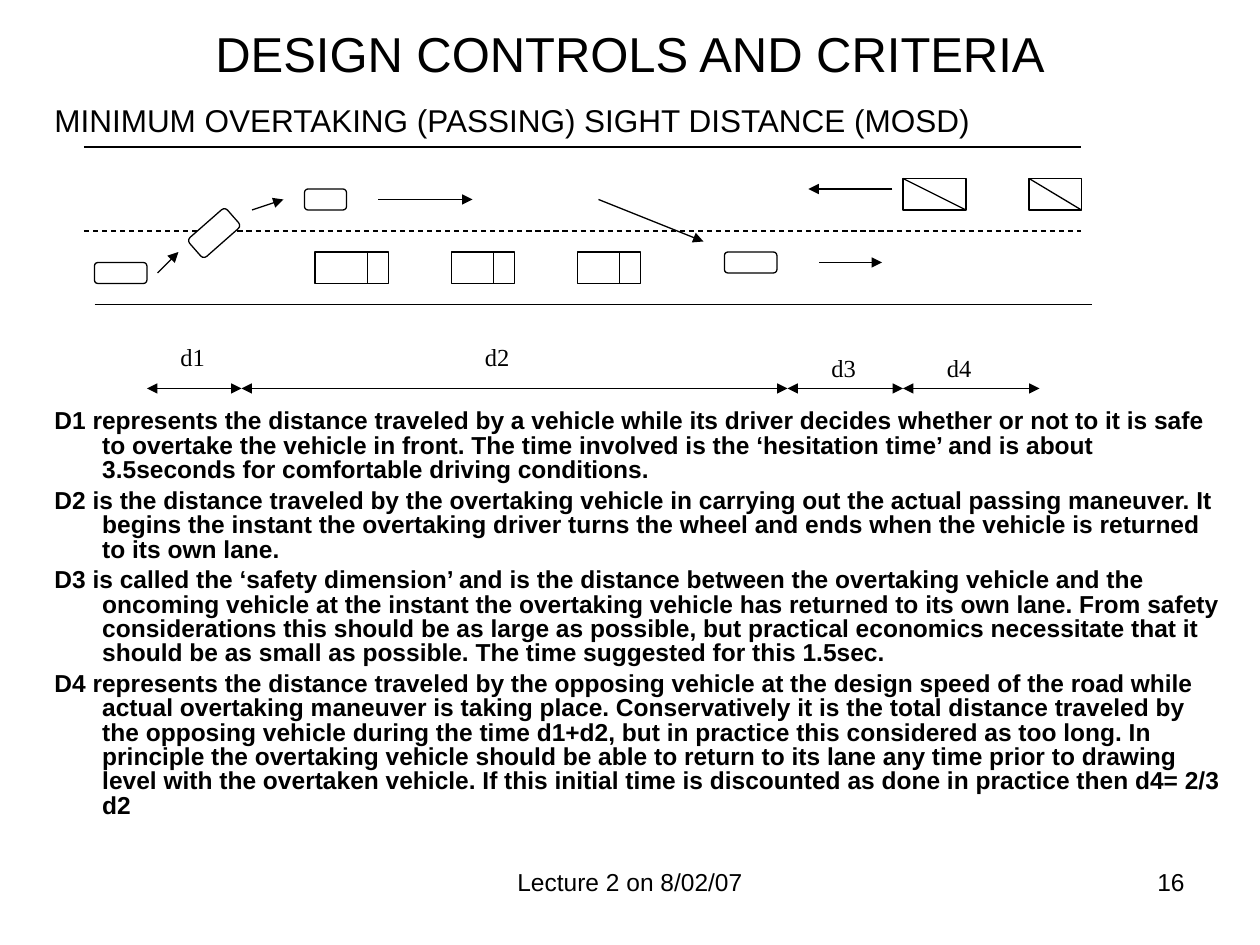
from typing import NamedTuple

from lxml.etree import SubElement
from pptx import Presentation
from pptx.dml.color import RGBColor
from pptx.enum.dml import MSO_LINE
from pptx.enum.shapes import MSO_CONNECTOR, MSO_SHAPE
from pptx.enum.text import MSO_ANCHOR, PP_ALIGN
from pptx.oxml.ns import qn
from pptx.util import Inches, Pt

COLORS = {"ink": "000000", "paper": "FFFFFF"}
CELL = 1 / 12  # the slide is a grid of 120 columns by 90 rows


class Label(NamedTuple):
    text: str
    col: float
    row: float
    cols: float
    rows: float
    size: float = 14
    font: str = "Arial"
    align: PP_ALIGN = PP_ALIGN.LEFT
    anchor: MSO_ANCHOR = MSO_ANCHOR.TOP


class Vehicle(NamedTuple):
    col: float
    row: float
    cols: float
    rows: float
    shape: MSO_SHAPE = MSO_SHAPE.RECTANGLE
    rotation: float = 0


class Line(NamedTuple):
    start: tuple[float, float]
    end: tuple[float, float]
    head: bool = False
    tail: bool = False
    dashed: bool = False


def grid(n: float) -> int:
    return Inches(n * CELL)


def rgb(name: str) -> RGBColor:
    return RGBColor.from_string(COLORS[name])


def add_label(s, label: Label):
    box = s.shapes.add_textbox(*map(grid, label[1:5]))
    tf = box.text_frame
    tf.word_wrap = True
    tf.vertical_anchor = label.anchor
    tf.text = label.text
    for p in tf.paragraphs:
        p.alignment = label.align
        for r in p.runs:
            r.font.size = Pt(label.size)
            r.font.name = label.font
            r.font.color.rgb = rgb("ink")
    return tf


def add_vehicle(s, v: Vehicle) -> None:
    shape = s.shapes.add_shape(v.shape, *map(grid, v[:4]))
    shape.rotation = v.rotation
    shape.shadow.inherit = False
    shape.fill.solid()
    shape.fill.fore_color.rgb = rgb("paper")
    shape.line.color.rgb = rgb("ink")
    shape.line.width = Pt(0.75)


def add_line(s, line: Line) -> None:
    c = s.shapes.add_connector(MSO_CONNECTOR.STRAIGHT,
                               *map(grid, line.start + line.end))
    c.line.color.rgb = rgb("ink")
    c.line.width = Pt(0.75)
    if line.dashed:
        c.line.dash_style = MSO_LINE.DASH
    ln = c.line._get_or_add_ln()
    for wanted, tag in ((line.head, "a:headEnd"), (line.tail, "a:tailEnd")):
        if wanted:
            SubElement(ln, qn(tag), type="triangle")
    SubElement(c._element.spPr, qn("a:effectLst"))


LABELS = [
    Label("Lecture 2 on 8/02/07", 41, 82, 38, 6.25, align=PP_ALIGN.CENTER),
    Label("16", 86, 82, 28, 6.25, align=PP_ALIGN.RIGHT),
    Label("DESIGN CONTROLS AND CRITERIA", 6, 0, 108, 10, 28,
          align=PP_ALIGN.CENTER, anchor=MSO_ANCHOR.MIDDLE),
    Label("MINIMUM OVERTAKING (PASSING) SIGHT DISTANCE (MOSD)",
          4, 9, 90.5, 4.8, 18),
]

DISTANCE_LABELS = [("d1", 16, 32, 5), ("d2", 45, 32, 8),
                   ("d3", 78, 33, 5), ("d4", 89, 33, 7)]
DISTANCE_STOPS = [14, 23, 75, 86, 99]
DISTANCE_ROW = 37

DEFINITIONS = [
    "D1 represents the distance traveled by a vehicle while its driver "
    "decides whether or not to it is safe to overtake the vehicle in front. "
    "The time involved is the ‘hesitation time’ and is about 3.5seconds for "
    "comfortable driving conditions.",
    "D2 is the distance traveled by the overtaking vehicle in carrying out "
    "the actual passing maneuver. It begins the instant the overtaking driver "
    "turns the wheel and ends when the vehicle is returned to its own lane.",
    "D3 is called the ‘safety dimension’ and is the distance between the "
    "overtaking vehicle and the oncoming vehicle at the instant the overtaking "
    "vehicle has returned to its own lane. From safety considerations this "
    "should be as large as possible, but practical economics necessitate that "
    "it should be as small as possible. The time suggested for this 1.5sec.",
    "D4 represents the distance traveled by the opposing vehicle at the design "
    "speed of the road while actual overtaking maneuver is taking place. "
    "Conservatively it is the total distance traveled by the opposing vehicle "
    "during the time d1+d2, but in practice this considered as too long. In "
    "principle the overtaking vehicle should be able to return to its lane any "
    "time prior to drawing level with the overtaken vehicle. If this initial "
    "time is discounted as done in practice then d4= 2/3 d2",
]

ROAD = [Line((8, 14), (103, 14)), Line((9, 29), (104, 29)),
        Line((8, 22), (103, 22), dashed=True)]

ROUND = MSO_SHAPE.ROUNDED_RECTANGLE
OVERTAKING = [Vehicle(9, 25, 5, 2, ROUND),
              Vehicle(18, 21, 4.8, 2.4, ROUND, 318.7),
              Vehicle(29, 18, 4, 2, ROUND),
              Vehicle(69, 24, 5, 2, ROUND)]
OVERTAKEN = [Vehicle(30, 24, 7, 3), Vehicle(43, 24, 6, 3),
             Vehicle(55, 24, 6, 3)]
ONCOMING = [Vehicle(98, 17, 5, 3), Vehicle(86, 17, 6, 3)]

MOVES = [((15, 26), (17, 24)), ((24, 20), (27, 19)), ((36, 19), (45, 19)),
         ((57, 19), (67, 23)), ((78, 25), (84, 25)), ((85, 18), (77, 18))]


def add_definitions(s) -> None:
    tf = add_label(s, Label("\n".join(DEFINITIONS), 4, 38.5, 114, 40))
    for i, p in enumerate(tf.paragraphs):
        pPr = p._p.get_or_add_pPr()
        pPr.set("marL", str(Inches(0.38)))
        pPr.set("indent", str(Inches(-0.38)))
        p.line_spacing = 0.83
        p.space_before = Pt(3.5 if i else 0)
        for r in p.runs:
            r.font.bold = True


def add_road_diagram(s) -> None:
    for line in ROAD:
        add_line(s, line)
    for v in OVERTAKING + OVERTAKEN + ONCOMING:
        add_vehicle(s, v)
    for v in OVERTAKEN:
        cab = v.col + v.cols - 2
        add_line(s, Line((cab, v.row), (cab, v.row + v.rows)))
    for v in ONCOMING:
        add_line(s, Line((v.col, v.row), (v.col + v.cols, v.row + v.rows)))
    for start, end in MOVES:
        add_line(s, Line(start, end, tail=True))
    for left, right in zip(DISTANCE_STOPS, DISTANCE_STOPS[1:]):
        add_line(s, Line((left, DISTANCE_ROW), (right, DISTANCE_ROW),
                         head=True, tail=True))
    for text, col, row, cols in DISTANCE_LABELS:
        add_label(s, Label(text, col, row, cols, 4, font="Times New Roman"))


def main() -> None:
    prs = Presentation()
    prs.slide_width, prs.slide_height = grid(120), grid(90)
    s = prs.slides.add_slide(prs.slide_layouts[6])
    for label in LABELS:
        add_label(s, label)
    add_definitions(s)
    add_road_diagram(s)
    prs.save("out.pptx")


if __name__ == "__main__":
    main()
